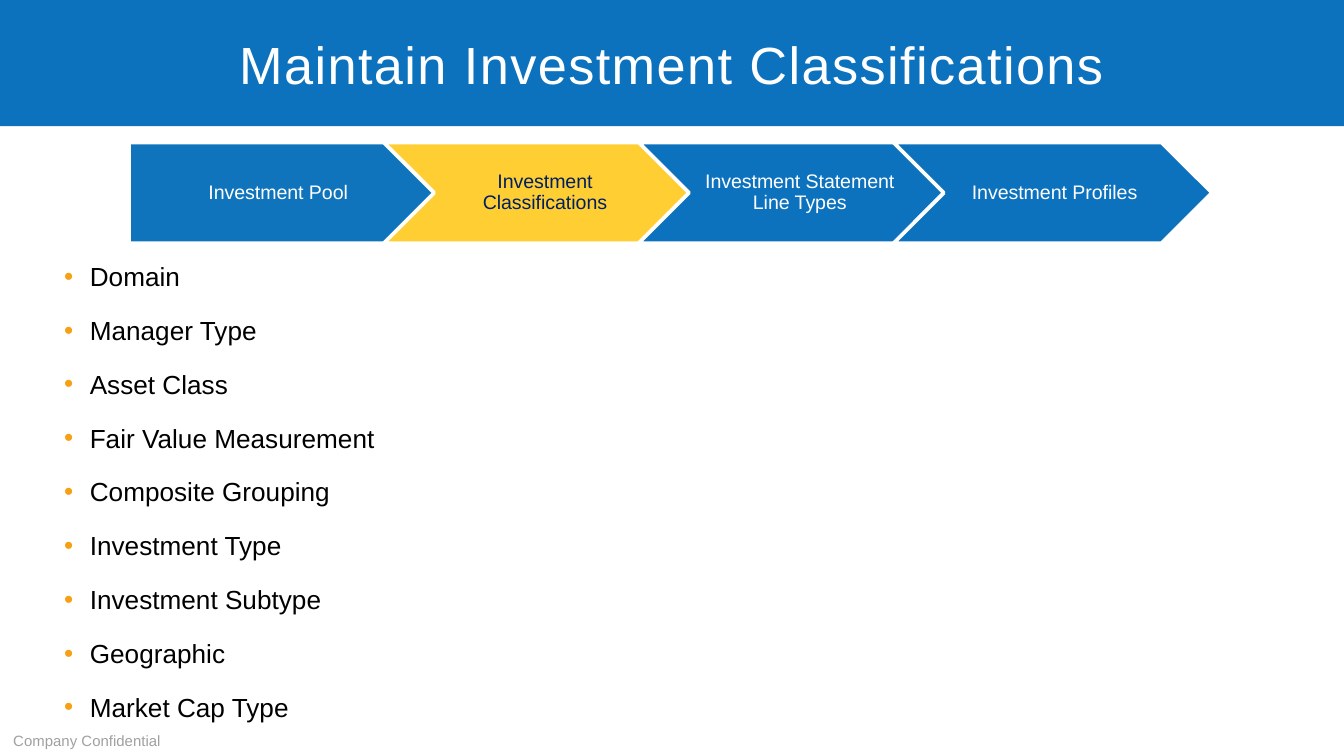
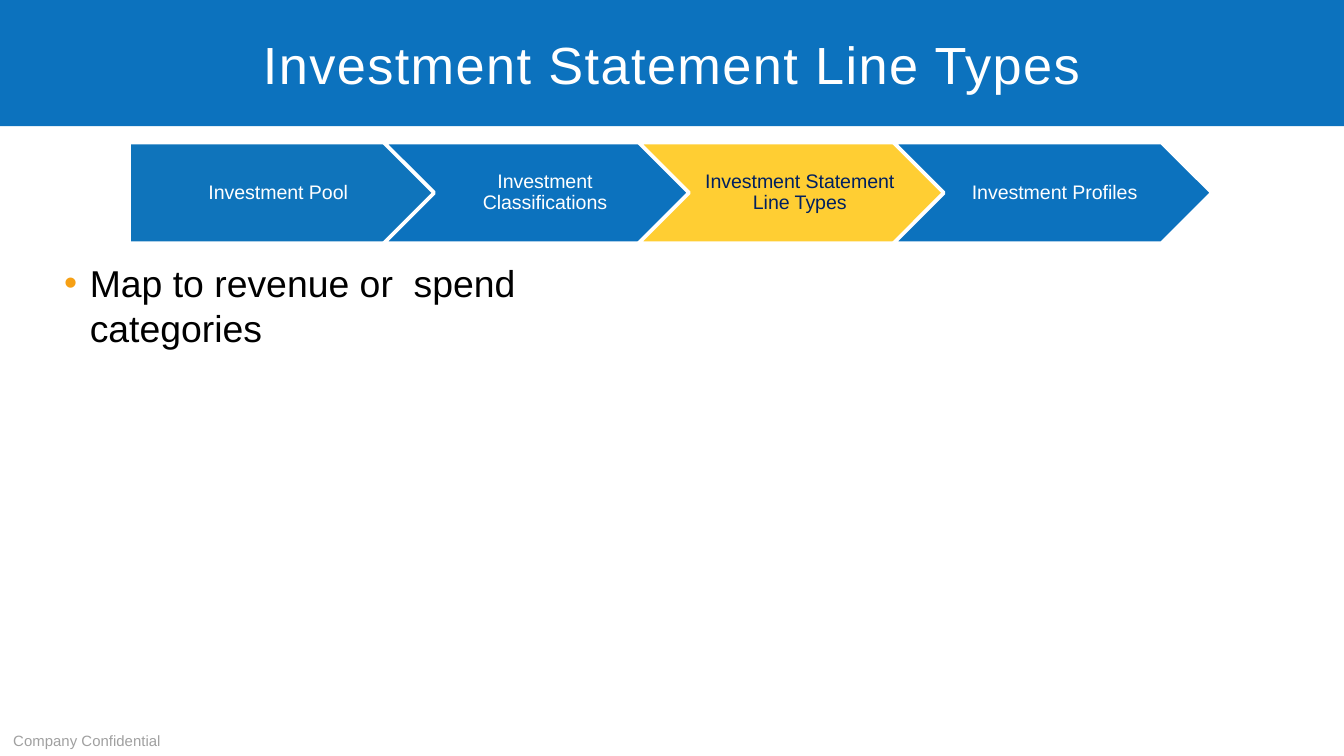
"""Build two slides on investment setup steps, each with its step in the process highlighted."""
from dataclasses import dataclass

from lxml.etree import SubElement
from pptx import Presentation
from pptx.dml.color import RGBColor
from pptx.enum.shapes import MSO_SHAPE as Shape
from pptx.enum.text import MSO_ANCHOR as Anchor, PP_ALIGN as Align
from pptx.oxml.ns import qn
from pptx.util import Inches, Pt

STEPS = [
    "Investment Pool",
    "Investment Classifications",
    "Investment Statement Line Types",
    "Investment Profiles",
]
FOOTER = "Company Confidential"
SLIDES = [
    {
        "title": "Maintain Investment Classifications",
        "current": 1,
        "points": [
            "Domain",
            "Manager Type",
            "Asset Class",
            "Fair Value Measurement",
            "Composite Grouping",
            "Investment Type",
            "Investment Subtype",
            "Geographic",
            "Market Cap Type",
        ],
        "point_size": 14,
    },
    {
        "title": "Investment Statement Line Types",
        "current": 2,
        "points": ["Map to revenue or  spend categories"],
        "point_size": 20,
    },
]


@dataclass(frozen=True)
class Theme:
    font: str = "Arial"
    band: str = "0C72BE"
    first_step: str = "0F74BB"
    highlight: str = "FFCE33"
    highlight_text: str = "002060"
    bullet: str = "F6A014"
    white: str = "FFFFFF"
    body: str = "000000"
    muted: str = "A0A0A0"
    title_size: float = 28
    step_size: float = 10.5
    footer_size: float = 8


THEME = Theme()
SLIDE_WIDTH = 10
SLIDE_HEIGHT = SLIDE_WIDTH * 9 / 16
FOOTER_HEIGHT = 0.3
STEP_LEFT, STEP_TOP, STEP_WIDTH, STEP_HEIGHT = 0.96, 1.06, 2.37, 0.75
STEP_PITCH = STEP_WIDTH * 0.8


def rgb(color):
    return RGBColor.from_string(color)


def add_run(paragraph, text, size, color):
    run = paragraph.add_run()
    run.text = text
    run.font.name = THEME.font
    run.font.size = Pt(size)
    run.font.color.rgb = rgb(color)
    return run


def add_block(slide, kind, place, fill):
    block = slide.shapes.add_shape(kind, *map(Inches, place))
    block.shadow.inherit = False
    block.fill.solid()
    block.fill.fore_color.rgb = rgb(fill)
    block.line.fill.background()
    block.text_frame.word_wrap = True
    block.text_frame.vertical_anchor = Anchor.MIDDLE
    block.text_frame.paragraphs[0].alignment = Align.CENTER
    return block


def add_text_frame(slide, place):
    frame = slide.shapes.add_textbox(*map(Inches, place)).text_frame
    frame.word_wrap = True
    return frame


def add_title(slide, title):
    band = add_block(slide, Shape.RECTANGLE, (0, 0, SLIDE_WIDTH, 0.94), THEME.band)
    run = add_run(band.text_frame.paragraphs[0], title, THEME.title_size, THEME.white)
    run.font._element.set("spc", "80")


def add_bullet(paragraph):
    properties = paragraph._p.get_or_add_pPr()
    properties.set("marL", str(Inches(0.19)))
    properties.set("indent", str(Inches(-0.19)))
    color = SubElement(properties, qn("a:buClr"))
    SubElement(color, qn("a:srgbClr"), val=THEME.bullet)
    SubElement(properties, qn("a:buFont"), typeface=THEME.font)
    SubElement(properties, qn("a:buChar"), char="•")


def add_points(slide, points, size):
    frame = add_text_frame(slide, (0.38, 1.89, 4.43, 4.07))
    for index, point in enumerate(points):
        paragraph = frame.add_paragraph() if index else frame.paragraphs[0]
        paragraph.space_before = paragraph.space_after = Pt(6)
        add_bullet(paragraph)
        add_run(paragraph, point, size, THEME.body)


def add_footer(slide):
    frame = add_text_frame(slide, (0, SLIDE_HEIGHT - FOOTER_HEIGHT, 3.38, FOOTER_HEIGHT))
    frame.vertical_anchor = Anchor.BOTTOM
    add_run(frame.paragraphs[0], FOOTER, THEME.footer_size, THEME.muted)


def add_process(slide, current):
    for index, step in enumerate(STEPS):
        kind = Shape.CHEVRON if index else Shape.PENTAGON
        fill = THEME.band if index else THEME.first_step
        color = THEME.white
        if index == current:
            fill, color = THEME.highlight, THEME.highlight_text
        left = STEP_LEFT + index * STEP_PITCH
        arrow = add_block(slide, kind, (left, STEP_TOP, STEP_WIDTH, STEP_HEIGHT), fill)
        arrow.line.color.rgb = rgb(THEME.white)
        arrow.line.width = Pt(2)
        frame = arrow.text_frame
        frame.margin_left = Inches(0.05 if index else 0.06)
        frame.margin_right = Inches(0.02)
        frame.margin_top = frame.margin_bottom = Inches(0.03)
        label = frame.paragraphs[0]
        label.line_spacing = 0.9
        add_run(label, step, THEME.step_size, color)


def main():
    deck = Presentation()
    deck.slide_width, deck.slide_height = Inches(SLIDE_WIDTH), Inches(SLIDE_HEIGHT)
    for content in SLIDES:
        slide = deck.slides.add_slide(deck.slide_layouts[6])
        add_title(slide, content["title"])
        add_points(slide, content["points"], content["point_size"])
        add_footer(slide)
        add_process(slide, content["current"])
    deck.save("out.pptx")


if __name__ == "__main__":
    main()
